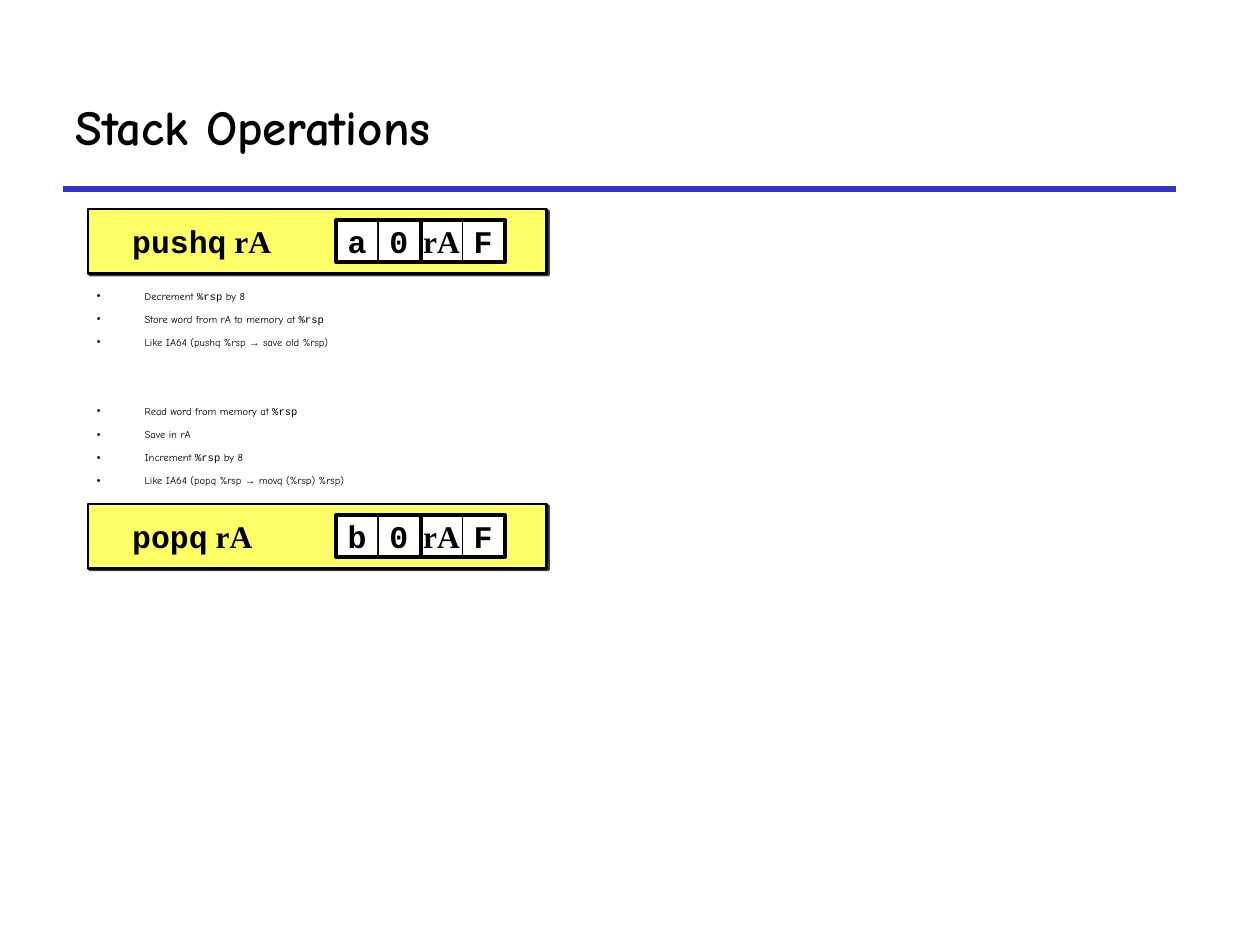
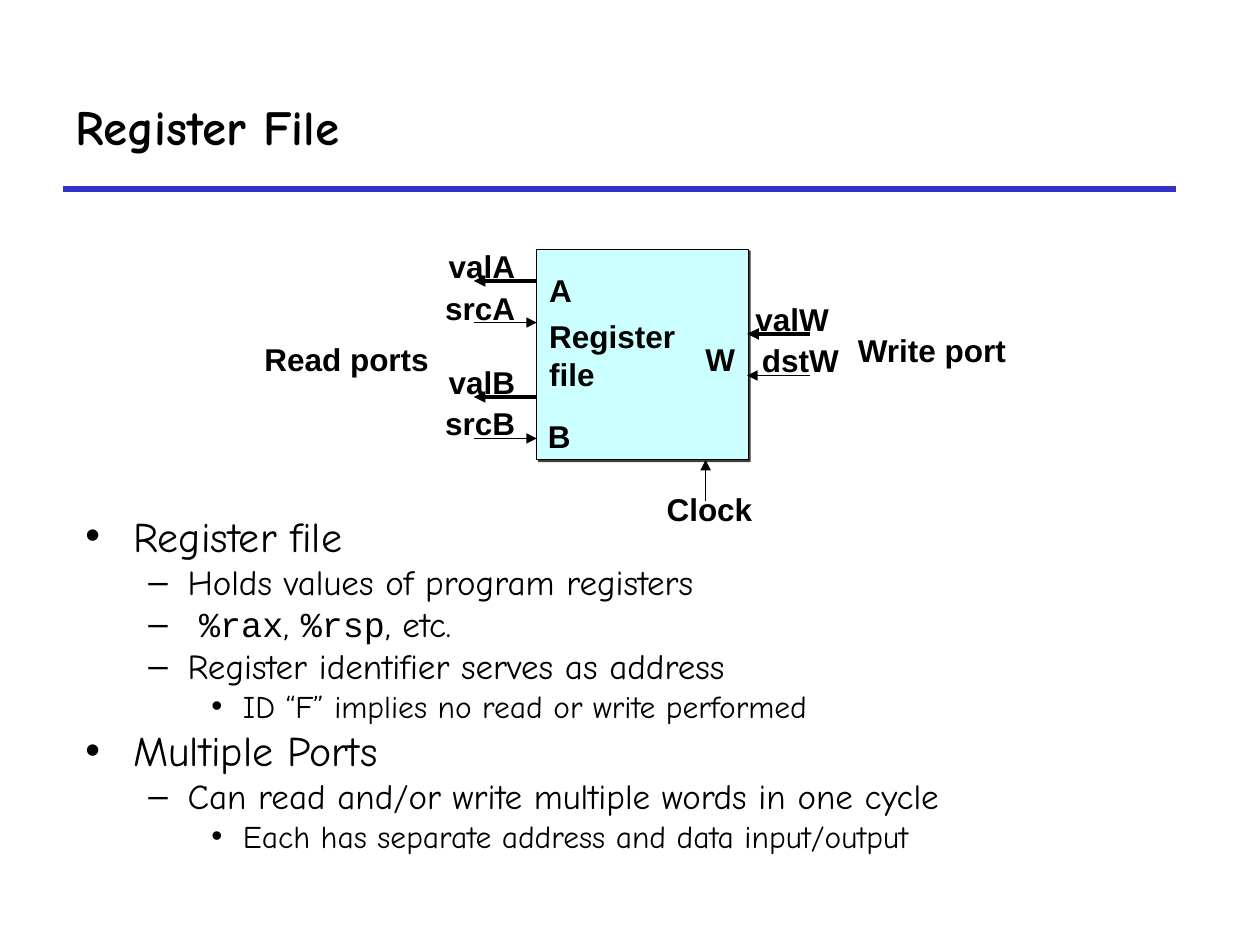
from lxml import etree
from pptx import Presentation
from pptx.dml.color import RGBColor
from pptx.enum.shapes import MSO_CONNECTOR, MSO_SHAPE
from pptx.enum.text import MSO_ANCHOR, MSO_AUTO_SIZE, PP_ALIGN
from pptx.oxml.ns import qn
from pptx.util import Inches, Pt

BLACK = RGBColor(0x00, 0x00, 0x00)
WHITE = RGBColor(0xFF, 0xFF, 0xFF)
BLUE = RGBColor(0x33, 0x33, 0xCC)
YELLOW = RGBColor(0xFF, 0xFF, 0x66)
CYAN = RGBColor(0xCC, 0xFF, 0xFF)

COMIC, CODE, SANS, SERIF = "Comic Neue", "Courier New", "Arial", "Times New Roman"
RECT, OVAL, LINE = MSO_SHAPE.RECTANGLE, MSO_SHAPE.OVAL, MSO_CONNECTOR.STRAIGHT
TOP, MIDDLE = MSO_ANCHOR.TOP, MSO_ANCHOR.MIDDLE
LEFT, CENTER, RIGHT = PP_ALIGN.LEFT, PP_ALIGN.CENTER, PP_ALIGN.RIGHT
GROW = MSO_AUTO_SIZE.SHAPE_TO_FIT_TEXT

TITLE = {"size": Pt(28), "bold": True}
LABEL = {"size": Pt(18), "bold": True}
TINY = {"size": Pt(6), "bold": False}
LEVELS = [
    {"size": Pt(24), "bold": False},
    {"size": Pt(20), "bold": False},
    {"size": Pt(18), "bold": False},
]
INDENTS = [(0.38, 0.38, "•"), (0.81, 0.31, "–"), (1.25, 0.25, "•")]


class Deck:
    """Holds the deck style and the current slide, and draws on it."""

    def __init__(self):
        self.prs = Presentation()
        self.prs.slide_width, self.prs.slide_height = Inches(10), Inches(7.5)
        self.slide = None

    def page(self, title):
        """Start a slide with its title and blue rule."""
        self.slide = self.prs.slides.add_slide(self.prs.slide_layouts[6])
        self.line((0.5, 1.5), (9.33, 1.5), 3, BLUE, head=False)
        self.text((0.5, 0.5, 8.83, 1), [(title, COMIC)], TITLE, anchor=MIDDLE)

    def line(self, start, end, width, color=BLACK, head=True):
        """Draw a line, with an arrowhead at its end if asked."""
        line = self.slide.shapes.add_connector(LINE, *map(Inches, start + end))
        line.line.color.rgb, line.line.width = color, Pt(width)
        props = line._element.spPr
        if head:
            etree.SubElement(props.find(qn("a:ln")), qn("a:tailEnd"), type="triangle")
        etree.SubElement(props, qn("a:effectLst"))

    def shape(self, kind, box, fill=None, width=None, shade=False):
        """Draw a preset shape with optional fill, outline and shadow."""
        shape = self.slide.shapes.add_shape(kind, *map(Inches, box))
        shape.shadow.inherit = False
        if fill is None:
            shape.fill.background()
        else:
            shape.fill.solid()
            shape.fill.fore_color.rgb = fill
        if width is None:
            shape.line.fill.background()
        else:
            shape.line.color.rgb, shape.line.width = BLACK, Pt(width)
        if shade:
            effects = shape._element.spPr.find(qn("a:effectLst"))
            drop = etree.SubElement(effects, qn("a:outerShdw"), dist=str(Pt(1.4)),
                                    dir="2700000", algn="ctr", rotWithShape="0")
            color = etree.SubElement(drop, qn("a:srgbClr"), val=str(BLACK))
            etree.SubElement(color, qn("a:alpha"), val="75000")
        return shape

    def frame(self, shape, anchor=MIDDLE, wrap=False, grow=False, pad=0.1):
        """Set the layout of a text frame and return it."""
        frame = shape.text_frame
        form = {"word_wrap": wrap, "vertical_anchor": anchor,
                "margin_left": Inches(pad), "margin_right": Inches(pad)}
        if grow:
            form["auto_size"] = GROW
        for name, value in form.items():
            setattr(frame, name, value)
        return frame

    def put(self, para, runs, form, align=LEFT):
        """Fill a paragraph with (text, font name) runs."""
        para.alignment = align
        for text, face in runs:
            run = para.add_run()
            run.text = text
            for name, value in {**form, "name": face}.items():
                setattr(run.font, name, value)
            run.font.color.rgb = BLACK

    def text(self, box, runs, form=LABEL, anchor=TOP, wrap=True, grow=False, pad=0.1):
        """Add a text box of one paragraph."""
        shape = self.slide.shapes.add_textbox(*map(Inches, box))
        frame = self.frame(shape, anchor, wrap, grow, pad)
        self.put(frame.paragraphs[0], runs, form)

    def label(self, shape, lines, face=SANS, align=CENTER):
        """Put bold lines inside a shape."""
        frame = self.frame(shape)
        for num, line in enumerate(lines):
            para = frame.add_paragraph() if num else frame.paragraphs[0]
            self.put(para, [(line, face)], LABEL, align)

    def bullets(self, box, items, forms):
        """Add a bullet list of (level, space before, runs) items."""
        shape = self.slide.shapes.add_textbox(*map(Inches, box))
        frame = self.frame(shape, TOP, True)
        for num, (level, space, runs) in enumerate(items):
            para = frame.add_paragraph() if num else frame.paragraphs[0]
            left, hang, mark = INDENTS[level]
            props = para._p.get_or_add_pPr()
            props.set("marL", str(Inches(left)))
            props.set("indent", str(-Inches(hang)))
            color = etree.SubElement(props, qn("a:buClr"))
            etree.SubElement(color, qn("a:srgbClr"), val=str(BLACK))
            etree.SubElement(props, qn("a:buFont"), typeface=SANS)
            etree.SubElement(props, qn("a:buChar"), char=mark)
            para.level, para.space_before = level, Pt(space if num else 0)
            self.put(para, runs, forms[level])

    def code(self, top, name, digit):
        """Draw one instruction band with its four encoding cells."""
        side, row = 0.33, top + 0.09
        self.shape(RECT, (0.7, top, 3.64, 0.51), YELLOW, 1.5, shade=True)
        self.text((0.95, row, 2.09, side), [(name, CODE), (" rA", SERIF)],
                  anchor=MIDDLE, wrap=False)
        pairs = [[(digit, CODE), ("0", CODE)], [("rA", SERIF), ("F", CODE)]]
        for num, pair in enumerate(pairs):
            left = 2.67 + 0.67 * num
            for col, (mark, face) in enumerate(pair):
                cell = self.shape(RECT, (left + side * col, row, side, side), WHITE, 0.5)
                self.label(cell, [mark], face)
            self.shape(RECT, (left, row, 0.67, side), width=2.25)


def stack(deck):
    """Build the stack operations slide."""
    deck.page("Stack Operations")
    rsp = ("%rsp", CODE)
    arrow = ("→", SANS)
    steps = [
        [("Decrement ", COMIC), rsp, (" by 8", COMIC)],
        [("Store word from rA to memory at ", COMIC), rsp],
        [("Like IA64 (pushq %rsp ", COMIC), arrow, (" save old %rsp)", COMIC)],
        [("Read word from memory at ", COMIC), rsp],
        [("Save in rA", COMIC)],
        [("Increment ", COMIC), rsp, (" by 8", COMIC)],
        [("Like IA64 (popq %rsp ", COMIC), arrow, (" movq (%rsp) %rsp)", COMIC)],
    ]
    items = [(0, 32.3 if num == 3 else 6, runs) for num, runs in enumerate(steps)]
    deck.bullets((0.67, 2.25, 8.43, 1.7), items, [TINY])
    deck.code(1.66, "pushq", "a")
    deck.code(4, "popq", "b")


def bank(deck):
    """Build the register file slide."""
    deck.page("Register File")
    points = [
        (0, [("Register file", COMIC)]),
        (1, [("Holds values of program registers", COMIC)]),
        (1, [(" ", COMIC), ("%rax", CODE), (", ", COMIC), ("%rsp", CODE),
             (", etc.", COMIC)]),
        (1, [("Register identifier serves as address", COMIC)]),
        (2, [("ID “F” implies no read or write performed", COMIC)]),
        (0, [("Multiple Ports", COMIC)]),
        (1, [("Can read and/or write multiple words in one cycle", COMIC)]),
        (2, [("Each has separate address and data input/output", COMIC)]),
    ]
    items = [(level, 0, runs) for level, runs in points]
    deck.bullets((0.58, 4, 9.08, 3.04), items, LEVELS)

    block = deck.shape(RECT, (4.26, 1.98, 1.68, 1.67), CYAN, 0.75, shade=True)
    deck.label(block, ["Register", "file"], align=LEFT)
    for name, left, top in [("A", 4.26, 2.1), ("B", 4.25, 3.26), ("W", 5.5, 2.65)]:
        deck.text((left, top, 0.33, 0.41), [(name, SANS)], grow=True)

    near, edge = 3.76, 4.26
    far, side = 6.43, 5.93
    ports = [
        ("valA", near, 2.23, edge, near, 2.25),
        ("srcA", near, 2.56, near, edge, 1),
        ("valB", near, 3.15, edge, near, 2.25),
        ("srcB", near, 3.48, near, edge, 1),
        ("valW", 6.25, 2.65, far, side, 2.25),
        ("dstW", 6.33, 2.98, far, side, 1),
    ]
    for name, left, row, start, end, width in ports:
        oval = deck.shape(OVAL, (left, row - 0.33, 0.5, 0.42))
        deck.label(oval, [name], align=RIGHT)
        deck.line((start, row), (end, row), width)

    deck.text((2, 2.65, 1.84, 0.41), [("Read ports", SANS)], grow=True)
    deck.text((6.71, 2.58, 1.39, 0.41), [("Write port", SANS)], wrap=False, grow=True)
    deck.text((5.24, 3.84, 0.79, 0.41), [("Clock", SANS)], wrap=False, grow=True,
              pad=0.05)
    deck.line((5.6, 3.98), (5.6, 3.65), 1)


def main():
    """Build both slides and save them."""
    deck = Deck()
    stack(deck)
    bank(deck)
    deck.prs.save("out.pptx")


if __name__ == "__main__":
    main()
